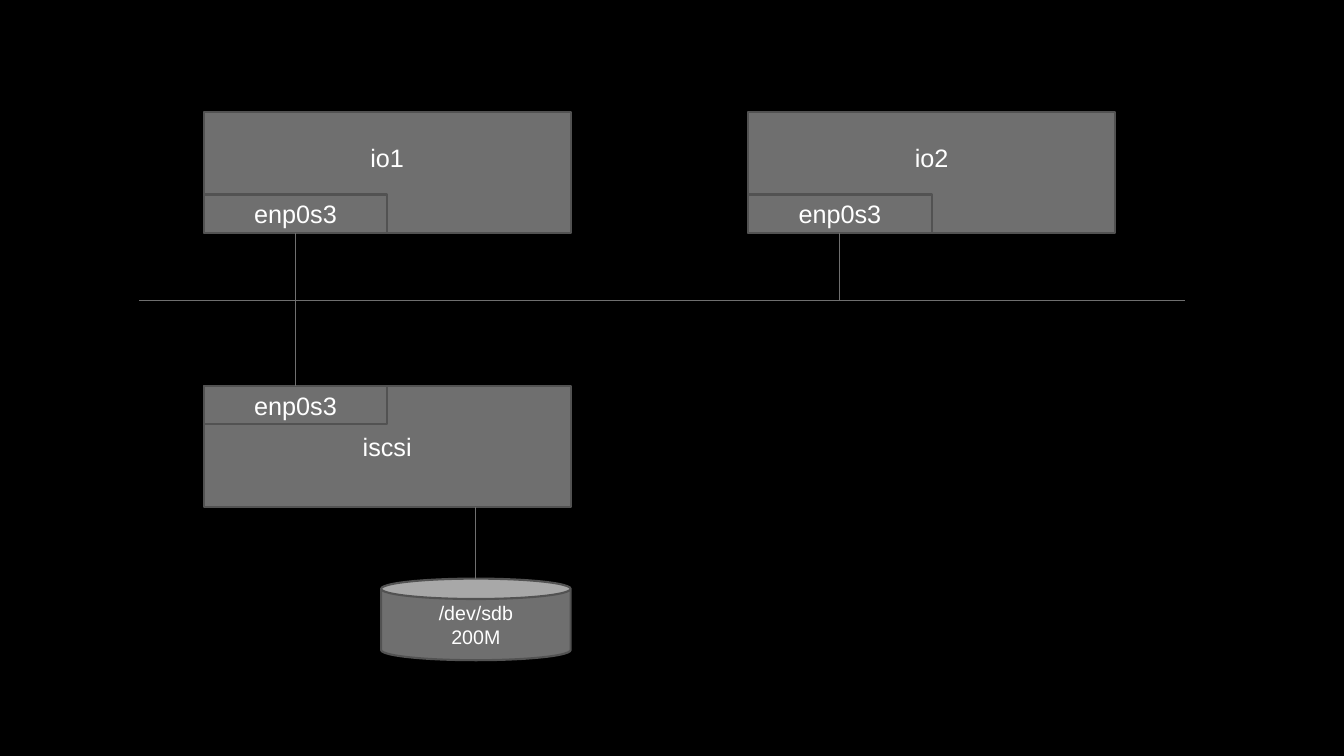
from dataclasses import dataclass

from lxml import etree
from pptx import Presentation
from pptx.dml.color import RGBColor
from pptx.enum.shapes import MSO_CONNECTOR, MSO_SHAPE
from pptx.enum.text import MSO_ANCHOR, PP_ALIGN
from pptx.oxml.ns import qn
from pptx.util import Inches, Pt

RECT = MSO_SHAPE.RECTANGLE
CAN = MSO_SHAPE.CAN
STRAIGHT = MSO_CONNECTOR.STRAIGHT
MIDDLE = MSO_ANCHOR.MIDDLE
CENTER = PP_ALIGN.CENTER
TOP, BOTTOM = 0, 2


@dataclass(frozen=True)
class Theme:
    """Colours, font and type sizes of the diagram."""
    back: RGBColor = RGBColor(0, 0, 0)
    fill: RGBColor = RGBColor(0x6F, 0x6F, 0x6F)
    edge: RGBColor = RGBColor(0x52, 0x52, 0x52)
    ink: RGBColor = RGBColor(0xFF, 0xFF, 0xFF)
    font: str = "Arial"
    label: float = 18
    small: float = 14
    border: float = 1.5
    wire: float = 0.75


THEME = Theme()


def add_node(slide, kind, box, lines, size, foot=0.05):
    """Add a filled shape with centred lines of text above a foot margin."""
    node = slide.shapes.add_shape(kind, *map(Inches, box))
    node.shadow.inherit = False
    node.fill.solid()
    node.fill.fore_color.rgb = THEME.fill
    node.line.color.rgb = THEME.edge
    node.line.width = Pt(THEME.border)
    frame = node.text_frame
    frame.word_wrap = True
    frame.vertical_anchor = MIDDLE
    frame.margin_bottom = Inches(foot)
    for i, line in enumerate(lines):
        para = frame.add_paragraph() if i else frame.paragraphs[0]
        para.alignment = CENTER
        run = para.add_run()
        run.text = line
        run.font.name = THEME.font
        run.font.size = Pt(size)
        run.font.color.rgb = THEME.ink
    return node


def add_wire(slide, start, end):
    """Add a thin straight line between two points."""
    wire = slide.shapes.add_connector(STRAIGHT, *map(Inches, start + end))
    wire.line.color.rgb = THEME.fill
    wire.line.width = Pt(THEME.wire)
    etree.SubElement(wire._element.spPr, qn("a:effectLst"))
    return wire


def add_host(slide, box, name, port, low):
    """Add a host with its port in the lower or upper left corner."""
    left, top, width, height = box
    deep = 0.38
    add_node(slide, RECT, box, [name], THEME.label, 0.34 if low else 0.05)
    spot = top + height - deep if low else top
    return add_node(slide, RECT, (left, spot, width / 2, deep), [port], THEME.label)


def add_disk(slide, box, lines, rise):
    """Add a disk and the wire that rises from its top."""
    left, top, width, _ = box
    mid = left + width / 2
    add_node(slide, CAN, box, lines, THEME.small)
    add_wire(slide, (mid, top), (mid, top - rise))


def add_net(slide, box):
    """Add the hosts, the shared network line, the target and its disk."""
    left, top, width, height = box
    wide, tall = 3.64, 1.2
    near, far = left + 0.64, left + 6.04
    base, bus = top + 2.72, top + 1.87
    first = add_host(slide, (near, top, wide, tall), "io1", "enp0s3", True)
    second = add_host(slide, (far, top, wide, tall), "io2", "enp0s3", True)
    target = add_host(slide, (near, base, wide, tall), "iscsi", "enp0s3", False)
    size = 1.88, 0.81
    disk = near + wide - size[0], top + height - size[1]
    add_disk(slide, disk + size, ["/dev/sdb", "200M"], disk[1] - base - tall)
    add_wire(slide, (left, bus), (left + width, bus))
    mid = near + wide / 4
    link = add_wire(slide, (mid, base), (mid, top + tall))
    link.begin_connect(target, TOP)
    link.end_connect(first, BOTTOM)
    mid = far + wide / 4
    drop = add_wire(slide, (mid, bus), (mid, top + tall))
    drop.end_connect(second, BOTTOM)


def main():
    """Build and save the slide."""
    deck = Presentation()
    deck.slide_width, deck.slide_height = Inches(13.33), Inches(7.5)
    slide = deck.slides.add_slide(deck.slide_layouts[6])
    slide.background.fill.solid()
    slide.background.fill.fore_color.rgb = THEME.back
    add_net(slide, (1.38, 1.11, 10.37, 5.44))
    deck.save("out.pptx")


if __name__ == "__main__":
    main()
